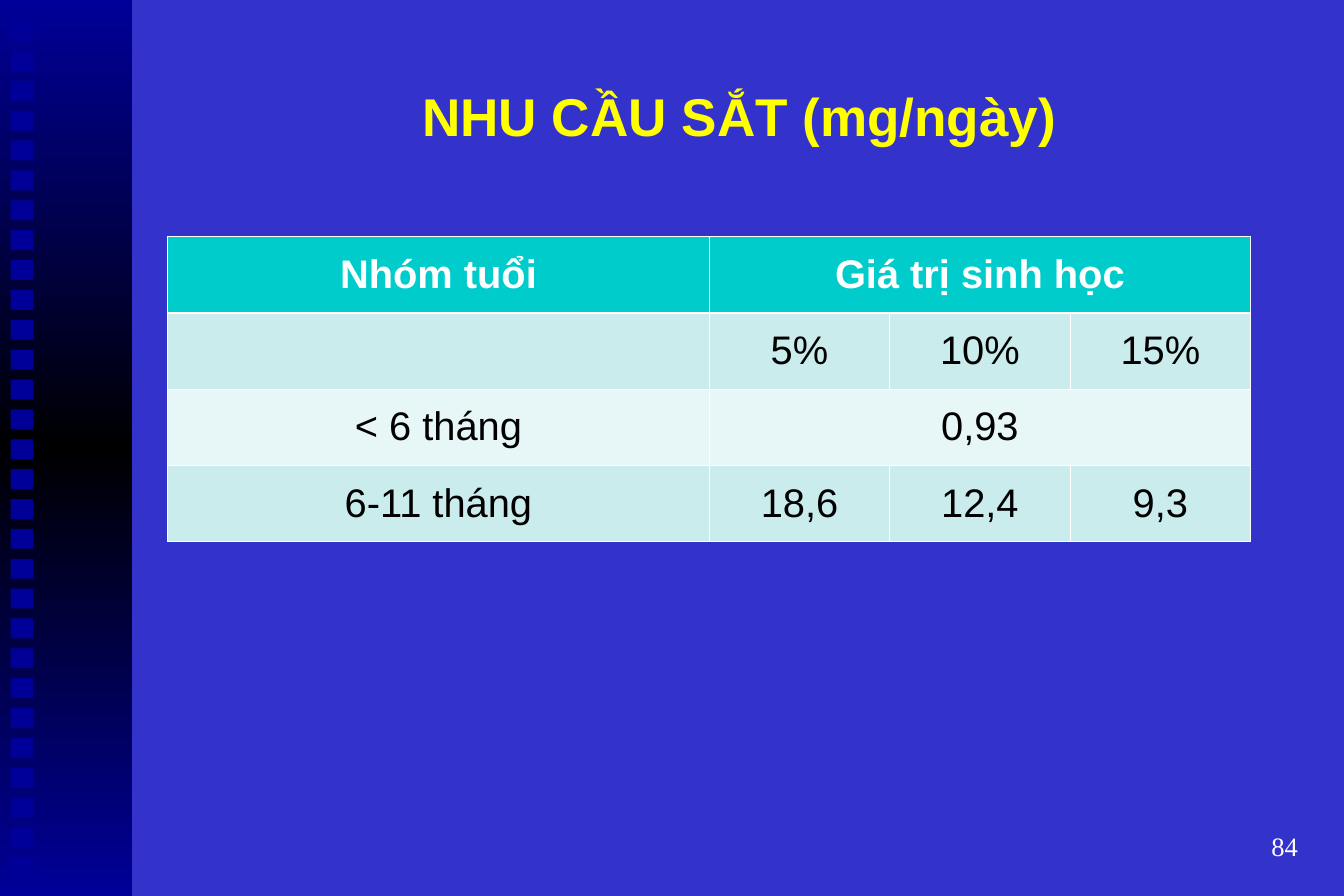
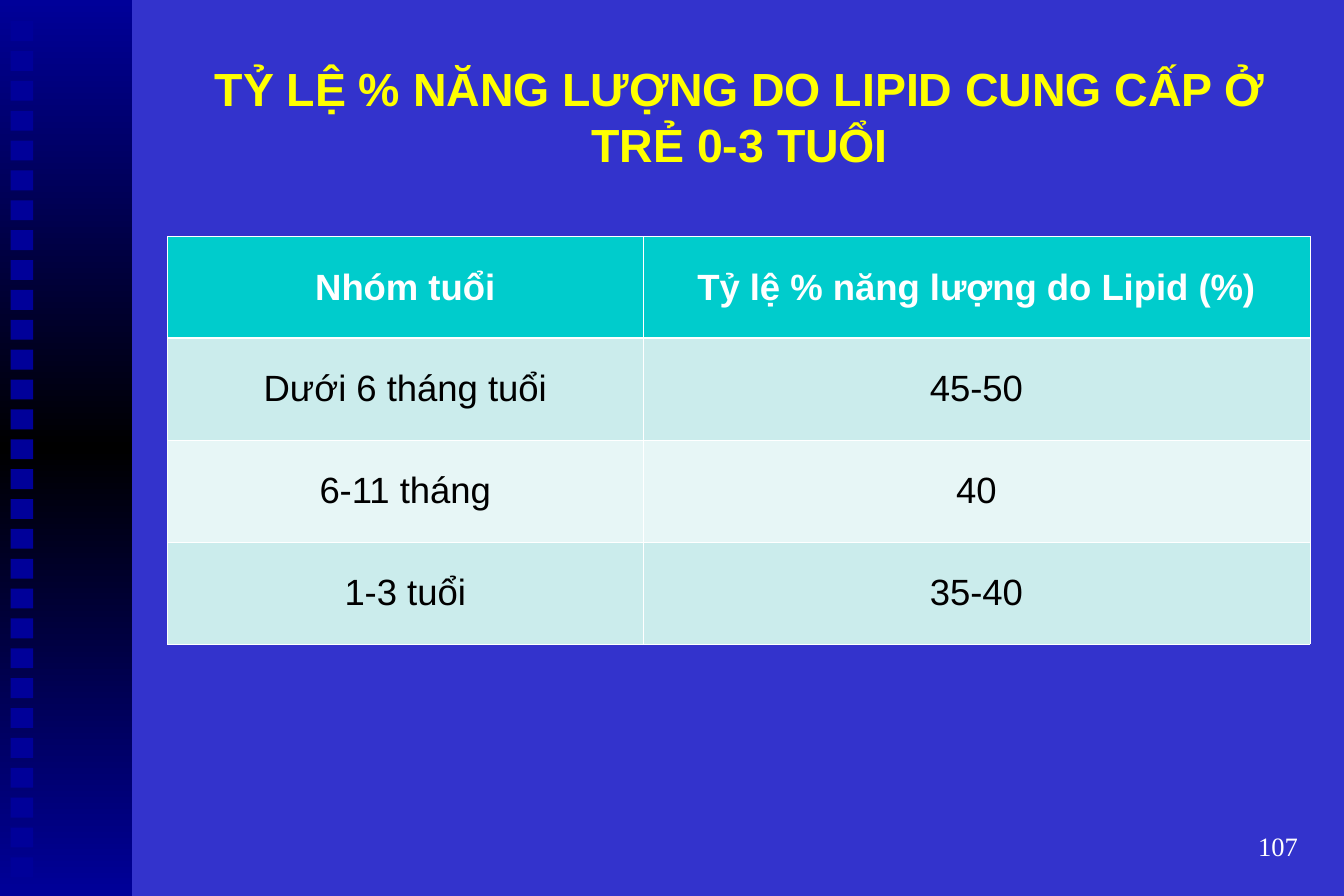
from copy import deepcopy

from pptx import Presentation
from pptx.dml.color import RGBColor
from pptx.enum import shapes, text
from pptx.oxml import ns, xmlchemy as xml
from pptx.util import Pt

# Shared style
HUES = {"back": "3333CC", "navy": "000099", "black": "000000",
        "title": "FFFF00", "white": "FFFFFF", "head": "00CCCC",
        "odd": "CBECEC", "even": "E7F6F6"}
SANS, SERIF = "Arial", "Times New Roman"
MID, RIGHT = text.PP_ALIGN.CENTER, text.PP_ALIGN.RIGHT
THIN, THICK = 0.45, 1.47


def hue(name):
    return RGBColor.from_string(HUES[name])


class Deck:
    def __init__(self, wide, high):
        self.prs = Presentation()
        self.prs.slide_width, self.prs.slide_height = Pt(wide), Pt(high)
        self.high = high
        fill = self.prs.slide_master.background.fill
        fill.solid()
        fill.fore_color.rgb = hue("back")

    # New slide with band, title and page number
    def page(self, title, size, num):
        self.slide = self.prs.slides.add_slide(self.prs.slide_layouts[6])
        self.band()
        self.label(title, (101.5, 36.5, 688.5, 66.5), MID, name=SANS,
                   size=Pt(size), bold=True, hue="title")
        self.label(num, (621.5, 492, 168.5, 36), RIGHT, name=SERIF,
                   size=Pt(16), bold=False, hue="white")

    def rect(self, x, y, w, h):
        box = self.slide.shapes.add_shape(
            shapes.MSO_SHAPE.RECTANGLE, Pt(x), Pt(y), Pt(w), Pt(h))
        box.shadow.inherit = False
        box.line.fill.background()
        return box

    # Gradient band with a column of squares
    def band(self):
        bar = self.rect(0, 0, 79.5, self.high)
        bar.fill.gradient()
        bar.fill.gradient_angle = 90
        stops = bar._element.spPr.find(".//" + ns.qn("a:gsLst"))
        stops.insert(1, deepcopy(stops[0]))
        tones = ("navy", "black", "navy")
        for i, (stop, tone) in enumerate(zip(bar.fill.gradient_stops, tones)):
            stop.position = i / 2
            stop.color.rgb = hue(tone)
        for i in range(29):
            dot = self.rect(6.5, 12.75 + 18 * i, 13.5, 12)
            dot.fill.solid()
            dot.fill.fore_color.rgb = hue("navy")

    # Styled words in the first paragraph of a frame
    def put(self, frame, words, align, look):
        para = frame.paragraphs[0]
        para.alignment = align
        if not words:
            return
        run = para.add_run()
        run.text = words
        for key, val in look.items():
            if key == "hue":
                run.font.color.rgb = hue(val)
            else:
                setattr(run.font, key, val)

    def label(self, words, spot, align, **look):
        frame = self.slide.shapes.add_textbox(*map(Pt, spot)).text_frame
        form = {"word_wrap": True,
                "vertical_anchor": text.MSO_ANCHOR.MIDDLE,
                "margin_left": Pt(7.75), "margin_right": Pt(7.75),
                "margin_top": Pt(4.25), "margin_bottom": Pt(4.25)}
        for key, val in form.items():
            setattr(frame, key, val)
        self.put(frame, words, align, look)

    def edge(self, cell, side, width):
        props = cell._tc.get_or_add_tcPr()
        line = xml.OxmlElement("a:ln" + side)
        line.set("w", str(Pt(width)))
        fill = xml.OxmlElement("a:solidFill")
        tint = xml.OxmlElement("a:srgbClr")
        tint.set("val", HUES["white"])
        fill.append(tint)
        line.append(fill)
        props.append(line)

    # Table; None continues the cell to its left
    def table(self, rows, cols, step, size):
        grid = self.slide.shapes.add_table(
            len(rows), len(cols), Pt(101), Pt(142.5),
            Pt(sum(cols)), Pt(step * len(rows))).table
        grid.first_row = grid.horz_banding = False
        for col, wide in zip(grid.columns, cols):
            col.width = Pt(wide)
        for r, row in enumerate(rows):
            grid.rows[r].height = Pt(step)
            tone = "head" if r == 0 else ("even", "odd")[r % 2]
            look = {"name": SANS, "size": Pt(size), "bold": r == 0,
                    "hue": "black" if r else "white"}
            for c, words in enumerate(row):
                cell = grid.cell(r, c)
                cell.vertical_anchor = text.MSO_ANCHOR.MIDDLE
                for side in "LRTB":
                    rule = (r, side) in ((0, "B"), (1, "T"))
                    self.edge(cell, side, THICK if rule else THIN)
                cell.fill.solid()
                cell.fill.fore_color.rgb = hue(tone)
                self.put(cell.text_frame, words, MID, look)
            for c in range(len(row)):
                end = c + 1
                while end < len(row) and row[end] is None:
                    end += 1
                if row[c] is not None and end > c + 1:
                    grid.cell(r, c).merge(grid.cell(r, end - 1))


def main():
    deck = Deck(810, 540)

    # Iron needs
    deck.page("NHU CẦU SẮT (mg/ngày)", 32, "84")
    deck.table([("Nhóm tuổi", "Giá trị sinh học", None, None),
                ("", "5%", "10%", "15%"),
                ("< 6 tháng", "0,93", None, None),
                ("6-11 tháng", "18,6", "12,4", "9,3")],
               (326.5, 108.75, 108.75, 108.75), 46, 24)

    # Energy from lipid
    deck.page("TỶ LỆ % NĂNG LƯỢNG DO LIPID CUNG CẤP Ở TRẺ 0-3 TUỔI",
              28, "107")
    deck.table([("Nhóm tuổi", "Tỷ lệ % năng lượng do Lipid (%)"),
                ("Dưới 6 tháng tuổi", "45-50"),
                ("6-11 tháng", "40"),
                ("1-3 tuổi", "35-40")],
               (286.5, 402), 61.4, 22)

    deck.prs.save("out.pptx")


if __name__ == "__main__":
    main()
